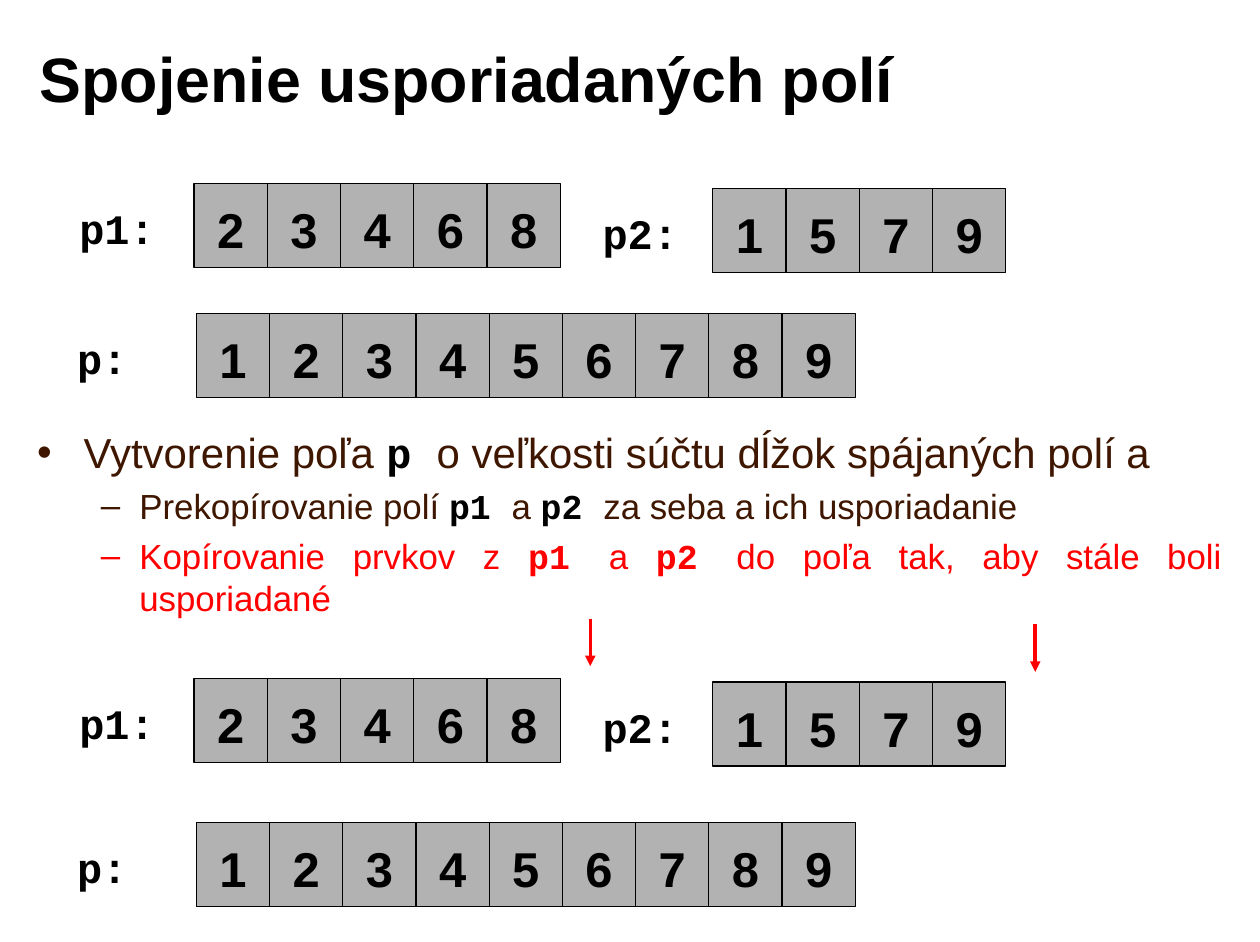
from dataclasses import dataclass

from lxml.etree import SubElement
from pptx import Presentation
from pptx.dml.color import RGBColor
from pptx.enum.shapes import MSO_CONNECTOR, MSO_SHAPE
from pptx.enum.text import MSO_ANCHOR, MSO_AUTO_SIZE, PP_ALIGN
from pptx.oxml.ns import qn
from pptx.slide import Slide
from pptx.text.text import TextFrame, _Paragraph
from pptx.util import Inches, Pt

BLACK, BROWN, RED, GREY = "000000", "3F1700", "FF0000", "B2B2B2"
CELL_W = 2.58 / 4
CELL_H = 0.74
LABEL_DROP = 0.12

TITLE = {"name": "Arial", "size": Pt(39.8), "bold": True}
DIGIT = {"name": "Arial", "size": Pt(31), "bold": True}
LABEL = {"name": "Courier New", "size": Pt(26.6), "bold": True}
PLAIN = {"name": "Arial", "bold": False}
CODE = {"name": "Courier New", "bold": True}


@dataclass
class Row:
    label: str
    digits: str
    left: float
    top: float
    label_left: float


@dataclass
class Bullet:
    """A list item; its texts switch between plain and code."""
    texts: list[str]
    level: int
    size: float
    color: str
    code_color: str


@dataclass
class Arrow:
    left: float
    top: float


ROWS = [
    Row("p1:", "23468", 1.71, 1.62, 0.6),
    Row("p2:", "1579", 6.28, 1.66, 5.21),
    Row("p:", "123456789", 1.73, 2.76, 0.58),
    Row("p1:", "23468", 1.71, 5.98, 0.6),
    Row("p2:", "1579", 6.28, 6.01, 5.21),
    Row("p:", "123456789", 1.73, 7.25, 0.58),
]
BULLETS = [
    Bullet(["Vytvorenie poľa ", "p ", "o veľkosti súčtu dĺžok spájaných polí a"],
           0, 26.6, BROWN, BLACK),
    Bullet(["Prekopírovanie polí ", "p1 ", "a ", "p2 ", "za seba a ich usporiadanie"],
           1, 22.1, BROWN, BLACK),
    Bullet(["Kopírovanie prvkov z ", "p1 ", "a ", "p2 ",
            "do poľa tak, aby stále boli usporiadané"],
           1, 22.1, RED, RED),
]
LEVELS = [("•", 0.41, -0.41), ("–", 0.9, -0.34)]
ARROWS = [Arrow(5.2, 5.45), Arrow(9.12, 5.5)]


def rgb(color: str) -> RGBColor:
    return RGBColor.from_string(color)


def add_run(para: _Paragraph, text: str, style: dict, color: str = BLACK) -> None:
    run = para.add_run()
    run.text = text
    for key, value in style.items():
        setattr(run.font, key, value)
    run.font.color.rgb = rgb(color)


def set_frame(frame: TextFrame, **style) -> None:
    for key, value in style.items():
        setattr(frame, key, value)


def add_title(slide: Slide, text: str) -> None:
    title = slide.shapes.title
    title.left, title.top = Inches(0.25), Inches(0.17)
    title.width, title.height = Inches(8.92), Inches(1.02)
    set_frame(title.text_frame, vertical_anchor=MSO_ANCHOR.MIDDLE,
              auto_size=MSO_AUTO_SIZE.NONE)
    para = title.text_frame.paragraphs[0]
    para.alignment = PP_ALIGN.LEFT
    add_run(para, text, TITLE)


def add_cell(slide: Slide, digit: str, left: float, top: float) -> None:
    cell = slide.shapes.add_shape(MSO_SHAPE.RECTANGLE, Inches(left), Inches(top),
                                  Inches(CELL_W), Inches(CELL_H))
    cell.shadow.inherit = False
    cell.fill.solid()
    cell.fill.fore_color.rgb = rgb(GREY)
    cell.line.color.rgb = rgb(BLACK)
    cell.line.width = Pt(0.75)
    set_frame(cell.text_frame, vertical_anchor=MSO_ANCHOR.MIDDLE,
              margin_top=Inches(0.06), margin_bottom=0)
    para = cell.text_frame.paragraphs[0]
    para.alignment = PP_ALIGN.CENTER
    add_run(para, digit, DIGIT)


def add_row(slide: Slide, row: Row) -> None:
    for i, digit in enumerate(row.digits):
        add_cell(slide, digit, row.left + i * CELL_W, row.top)
    width = 0.65 if len(row.label) == 2 else 0.88
    box = slide.shapes.add_textbox(Inches(row.label_left), Inches(row.top + LABEL_DROP),
                                   Inches(width), Inches(0.55))
    set_frame(box.text_frame, word_wrap=False, auto_size=MSO_AUTO_SIZE.SHAPE_TO_FIT_TEXT)
    add_run(box.text_frame.paragraphs[0], row.label, LABEL)


def add_bullets(slide: Slide) -> None:
    box = slide.shapes.add_textbox(Inches(0.23), Inches(3.71), Inches(10.63), Inches(1.65))
    frame = box.text_frame
    frame.word_wrap = True
    for i, item in enumerate(BULLETS):
        para = frame.add_paragraph() if i else frame.paragraphs[0]
        para.level, para.alignment = item.level, PP_ALIGN.JUSTIFY
        if i:
            para.space_before = Pt(5)
        mark, margin, indent = LEVELS[item.level]
        props = para._p.get_or_add_pPr()
        props.set("marL", str(Inches(margin)))
        props.set("indent", str(Inches(indent)))
        SubElement(props, qn("a:buFont"), typeface="Arial")
        SubElement(props, qn("a:buChar"), char=mark)
        for j, text in enumerate(item.texts):
            style, color = (CODE, item.code_color) if j % 2 else (PLAIN, item.color)
            add_run(para, text, {**style, "size": Pt(item.size)}, color)


def add_arrow(slide: Slide, arrow: Arrow) -> None:
    left = Inches(arrow.left)
    line = slide.shapes.add_connector(MSO_CONNECTOR.STRAIGHT, left, Inches(arrow.top),
                                      left, Inches(arrow.top + 0.42))
    line.line.color.rgb = rgb(RED)
    line.line.width = Pt(2.25)
    props = line._element.spPr
    SubElement(props.find(qn("a:ln")), qn("a:tailEnd"), type="triangle")
    SubElement(props, qn("a:effectLst"))


def main() -> None:
    deck = Presentation()
    deck.slide_width, deck.slide_height = Inches(11.1), Inches(8.3)
    slide = deck.slides.add_slide(deck.slide_layouts[5])
    add_title(slide, "Spojenie usporiadaných polí")
    add_bullets(slide)
    for row in ROWS:
        add_row(slide, row)
    for arrow in ARROWS:
        add_arrow(slide, arrow)
    deck.save("out.pptx")


if __name__ == "__main__":
    main()
